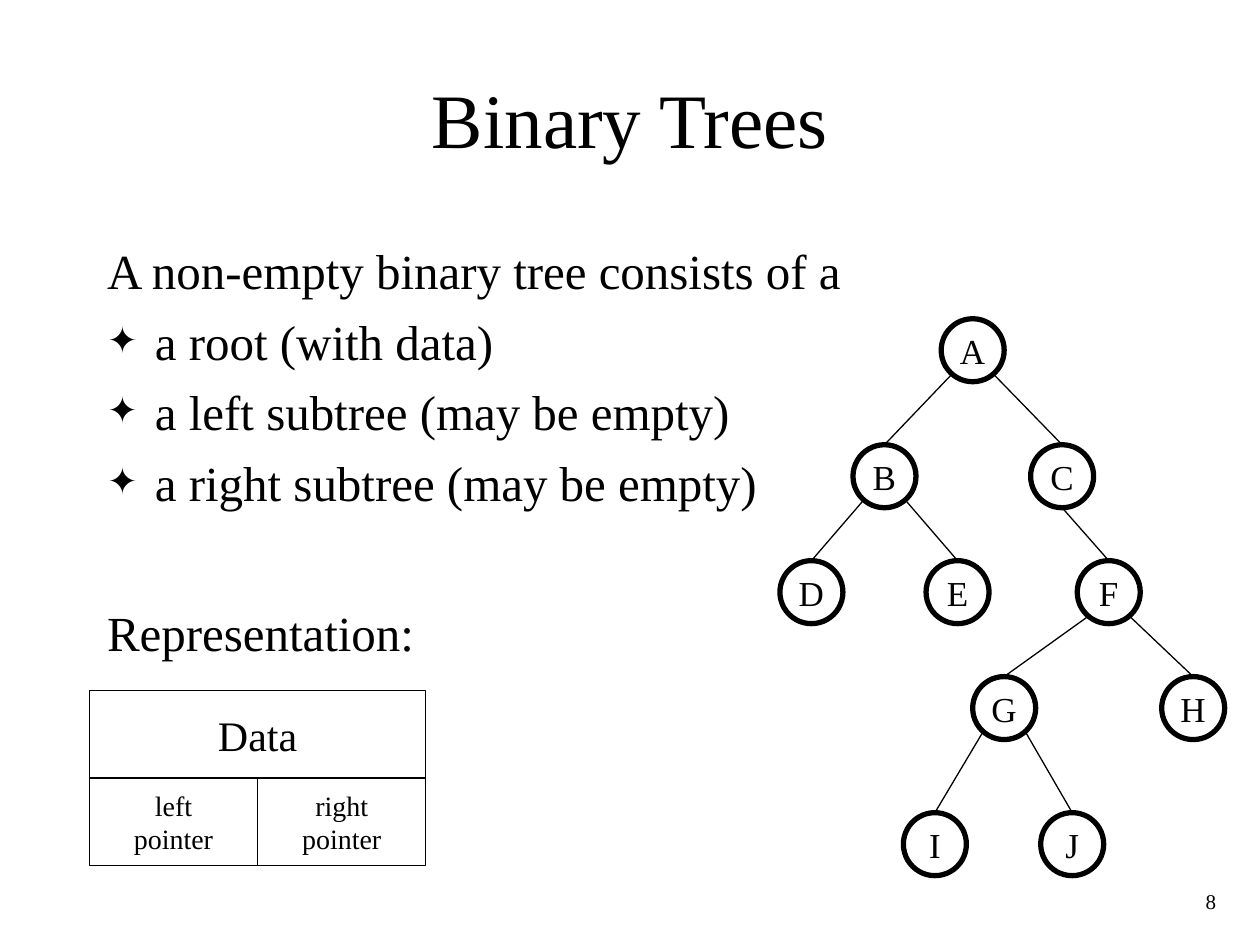
from lxml import etree
from pptx import Presentation
from pptx.dml.color import RGBColor
from pptx.enum.shapes import MSO_CONNECTOR, MSO_SHAPE
from pptx.enum.text import MSO_ANCHOR, MSO_AUTO_SIZE, PP_ALIGN
from pptx.oxml.ns import qn
from pptx.util import Inches, Pt

RECTANGLE, OVAL = MSO_SHAPE.RECTANGLE, MSO_SHAPE.OVAL
STRAIGHT = MSO_CONNECTOR.STRAIGHT
MIDDLE = MSO_ANCHOR.MIDDLE
LEFT, CENTER, RIGHT = PP_ALIGN.LEFT, PP_ALIGN.CENTER, PP_ALIGN.RIGHT

COLORS = {"ink": "000000"}
INK = RGBColor.from_string(COLORS["ink"])
FONT = "Times New Roman"

deck = Presentation()
deck.slide_width, deck.slide_height = Inches(10), Inches(7.5)
page = deck.slides.add_slide(deck.slide_layouts[1])
UNIT = deck.slide_width / 100  # grid of 100 columns by 75 rows


def grid(*lengths):
    return [round(length * UNIT) for length in lengths]


def write(para, text, size, align):
    para.alignment = align
    span = para.add_run()
    span.text = text
    span.font.name = FONT
    span.font.size = Pt(size)
    span.font.color.rgb = INK


# Title
title = page.shapes.title
title.left, title.top, title.width, title.height = grid(7.5, 3.1, 85, 12.5)
title.text_frame.vertical_anchor = MIDDLE
write(title.text_frame.paragraphs[0], "Binary Trees", 44, CENTER)

# Definition list: text, bulleted, space before
body = page.placeholders[1]
body.left, body.top, body.width, body.height = grid(7.5, 18.6, 85, 54.9)
body.text_frame.auto_size = MSO_AUTO_SIZE.NONE
lines = [
    ("A non-empty binary tree consists of a", False, 0),
    ("a root (with data)", True, 6.7),
    ("a left subtree (may be empty)", True, 6.7),
    ("a right subtree (may be empty)", True, 6.7),
    ("Representation:", False, 52),
]
for index, (text, bulleted, gap) in enumerate(lines):
    para = body.text_frame.add_paragraph() if index else body.text_frame.paragraphs[0]
    para.space_before = Pt(gap)
    props = para._p.get_or_add_pPr()
    indent = Inches(0.38) if bulleted else 0
    props.set("marL", str(indent))
    props.set("indent", str(-indent))
    if bulleted:
        color = etree.SubElement(props, qn("a:buClr"))
        etree.SubElement(color, qn("a:srgbClr"), val=COLORS["ink"])
        etree.SubElement(props, qn("a:buSzPct"), val="75000")
        etree.SubElement(props, qn("a:buChar"), char="✦")
    else:
        etree.SubElement(props, qn("a:buNone"))
    write(para, text, 28, LEFT)

# Slide number
number = page.shapes.add_textbox(*grid(88.9, 69.5, 8.6, 4))
number.text_frame.vertical_anchor = MIDDLE
number.text_frame.word_wrap = True
write(number.text_frame.paragraphs[0], "8", 12, RIGHT)

# Node record and tree nodes: group, preset, place, line width, text size, lines
record = page.shapes.add_group_shape()
tree = page.shapes.add_group_shape()
record_left, record_top, cell_width, cell_height = 7.1, 54.8, 13.35, 6.95
pointer_top = record_top + cell_height
boxes = [
    (record, RECTANGLE, (record_left, record_top, 2 * cell_width, cell_height), 0.75, 24, ["Data"]),
    (record, RECTANGLE, (record_left, pointer_top, cell_width, cell_height), 0.75, 16, ["left", "pointer"]),
    (record, RECTANGLE, (record_left + cell_width, pointer_top, cell_width, cell_height), 0.75, 16,
     ["right", "pointer"]),
]

# Tree nodes: centre column and level
RADIUS = 2.5
levels = [27.8, 37.8, 47, 56.2, 67]
nodes = {
    "A": (77.2, 0),
    "B": (70.2, 1), "C": (84.3, 1),
    "D": (64.4, 2), "E": (76, 2), "F": (88, 2),
    "G": (79.7, 3), "H": (94.7, 3),
    "I": (74.2, 4), "J": (85.1, 4),
}
for name, (x, level) in nodes.items():
    place = (x - RADIUS, levels[level] - RADIUS, 2 * RADIUS, 2 * RADIUS)
    boxes.append((tree, OVAL, place, 3, 20, [name]))

for group, preset, place, weight, size, texts in boxes:
    box = group.shapes.add_shape(preset, *grid(*place))
    box.shadow.inherit = False
    box.fill.background()
    box.line.color.rgb = INK
    box.line.width = Pt(weight)
    frame = box.text_frame
    frame.word_wrap = False
    frame.vertical_anchor = MIDDLE
    for index, text in enumerate(texts):
        para = frame.add_paragraph() if index else frame.paragraphs[0]
        write(para, text, size, CENTER)

# Edges: parent, child, and side of the parent they leave from (0 is the bottom)
edges = [("A", "B", -1), ("A", "C", 1), ("B", "D", -1), ("B", "E", 1), ("C", "F", 0),
         ("F", "G", -1), ("F", "H", 1), ("G", "I", -1), ("G", "J", 1)]
for parent, child, side in edges:
    x, level = nodes[parent]
    child_x, child_level = nodes[child]
    drop = 2 if side else RADIUS
    edge = tree.shapes.add_connector(
        STRAIGHT, *grid(x + 1.75 * side, levels[level] + drop, child_x, levels[child_level] - RADIUS))
    edge.line.color.rgb = INK
    edge.line.width = Pt(0.75)
    etree.SubElement(edge._element.spPr, qn("a:effectLst"))

deck.save("out.pptx")
